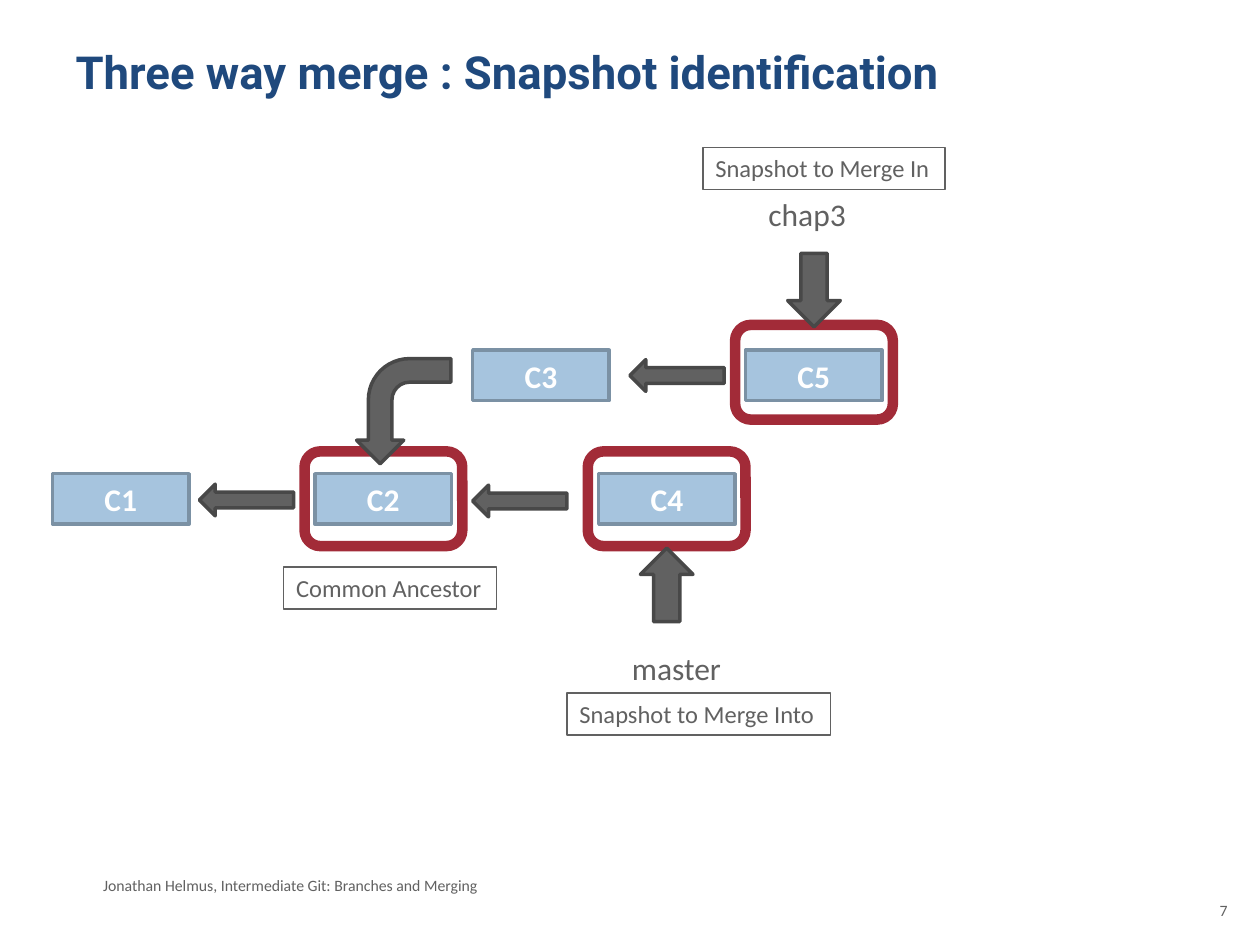
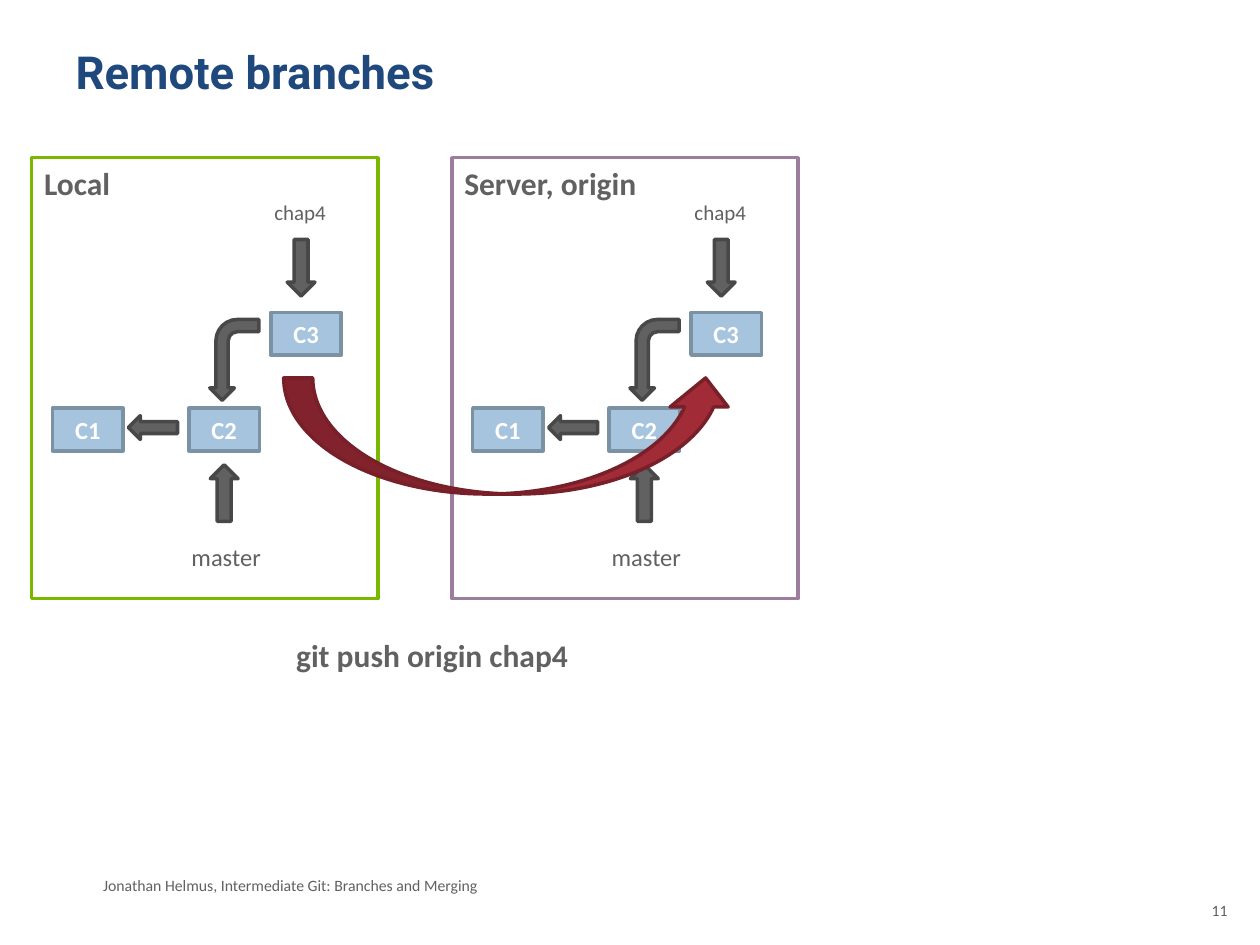
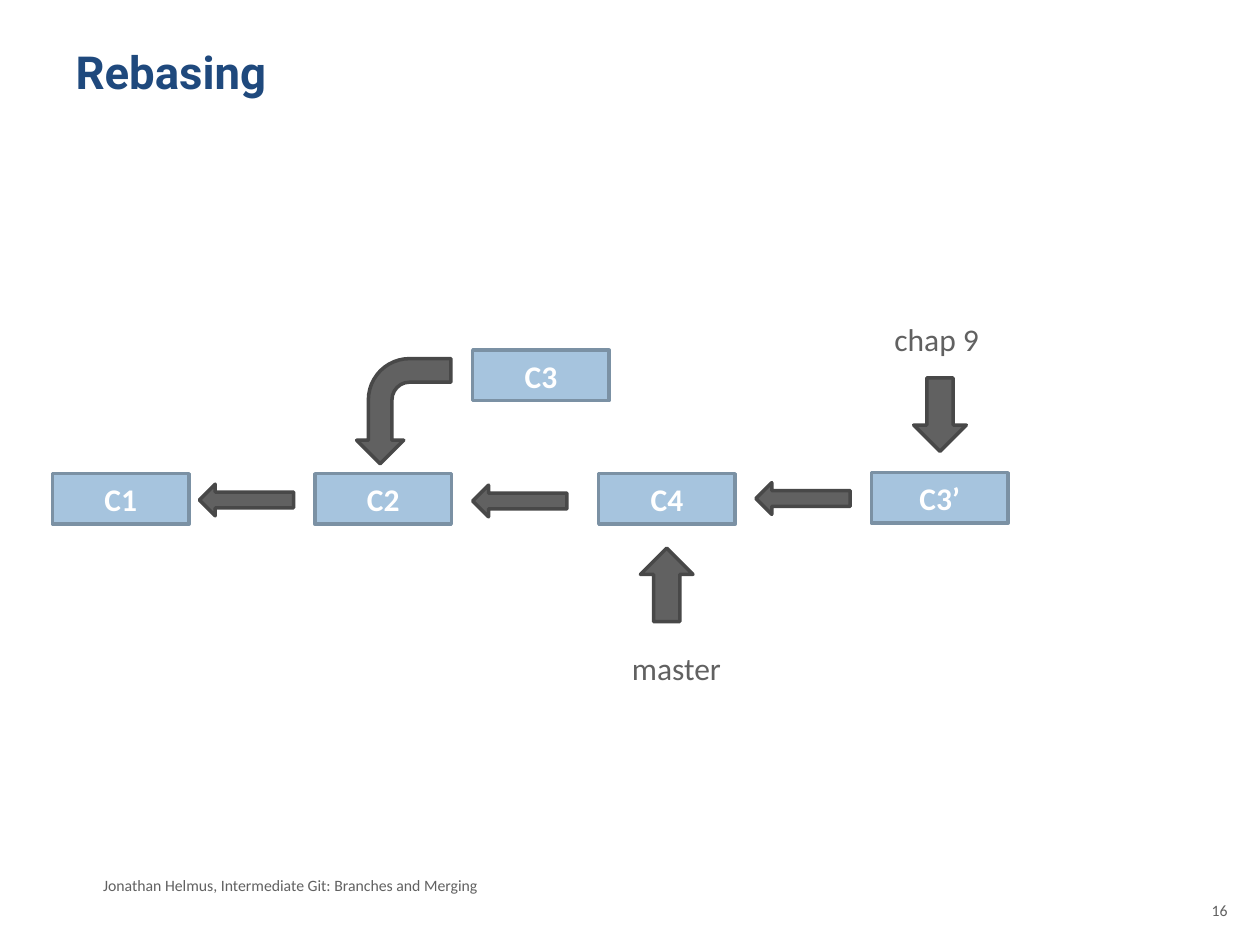
from dataclasses import dataclass

from pptx import Presentation
from pptx.dml.color import RGBColor
from pptx.enum.shapes import MSO_SHAPE
from pptx.enum.text import MSO_ANCHOR, MSO_AUTO_SIZE, PP_ALIGN
from pptx.util import Cm, Pt

RECT = MSO_SHAPE.RECTANGLE
LEFT, CENTER, RIGHT = PP_ALIGN.LEFT, PP_ALIGN.CENTER, PP_ALIGN.RIGHT
TOP, MIDDLE = MSO_ANCHOR.TOP, MSO_ANCHOR.MIDDLE
NO_AUTOFIT = MSO_AUTO_SIZE.NONE

NAVY, GREY, DARK_GREY, WHITE = "1F497D", "616161", "484848", "FFFFFF"
BLUE, BLUE_EDGE = "A6C4DE", "7B91A4"
RED, DARK_RED = "A22B38", "782029"
GREEN, PURPLE = "7AB800", "9D7D9E"
TITLE_FONT, BODY_FONT = "Roboto", "Calibri"

TITLE_ONLY = 5
FOOTER = "Jonathan Helmus, Intermediate Git: Branches and Merging"
REMOTE_SHIFT = 8.47


@dataclass(frozen=True)
class Style:
    geometry: MSO_SHAPE
    fill: str | None
    line: str
    weight: float = 2
    rotation: int = 0
    flip: str = ""


@dataclass(frozen=True)
class Part:
    """A commit, arrow or ring; its kind decides style and size."""
    kind: str
    x: float
    y: float
    text: str = ""


@dataclass(frozen=True)
class Label:
    text: str
    x: float
    y: float
    width: float
    size: int = 18
    bold: bool = False
    framed: bool = False


@dataclass(frozen=True)
class Scale:
    sizes: dict[str, tuple[float, float]]
    commit_font: int


@dataclass(frozen=True)
class Panel:
    text: str
    line: str
    shift: float


STYLES = {
    "commit": Style(RECT, BLUE, BLUE_EDGE),
    "ring": Style(MSO_SHAPE.ROUNDED_RECTANGLE, WHITE, RED, 6),
    "back": Style(MSO_SHAPE.RIGHT_ARROW, GREY, DARK_GREY, flip="flipH"),
    "up": Style(MSO_SHAPE.UP_ARROW, GREY, DARK_GREY),
    "down": Style(MSO_SHAPE.UP_ARROW, GREY, DARK_GREY, flip="flipV"),
    "bend": Style(MSO_SHAPE.BENT_ARROW, GREY, DARK_GREY, rotation=270, flip="flipH"),
}
FRAME = Style(RECT, None, GREY, 0.75)
PUSH_ARROW = Style(MSO_SHAPE.CURVED_UP_ARROW, RED, DARK_RED)

LARGE = Scale({"commit": (2.75, 1.02), "ring": (3.18, 1.91), "back": (1.9, 0.64),
               "up": (1.06, 1.48), "down": (1.06, 1.48), "bend": (2.12, 1.9)}, 18)
SMALL = Scale({"commit": (1.42, 0.86), "back": (0.99, 0.48), "up": (0.56, 1.14),
               "down": (0.56, 1.14), "bend": (1.63, 0.99)}, 14)

HISTORY = [
    Part("commit", 1.06, 9.55, "C1"),
    Part("commit", 6.35, 9.55, "C2"),
    Part("commit", 9.53, 7.06, "C3"),
    Part("commit", 12.07, 9.55, "C4"),
    Part("back", 4.02, 9.76),
    Part("back", 9.53, 9.78),
    Part("up", 12.91, 11.05),
    Part("bend", 7.08, 7.34),
    Label("master", 12.49, 12.95, 2.34),
]
MERGE_RINGS = [Part("ring", 14.82, 6.55), Part("ring", 11.85, 9.1), Part("ring", 6.14, 9.1)]
MERGE_BRANCH = [
    Part("commit", 15.03, 7.06, "C5"),
    Part("back", 12.7, 7.25),
    Part("down", 15.88, 5.11),
    Label("chap3", 15.24, 3.81, 2.08),
    Label("Common Ancestor", 5.72, 11.43, 4.29, 14, framed=True),
    Label("Snapshot to Merge Into", 11.43, 13.97, 5.31, 14, framed=True),
    Label("Snapshot to Merge In", 14.17, 2.97, 4.88, 14, framed=True),
]
REPOSITORY = [
    Part("commit", 1.06, 8.23, "C1"),
    Part("commit", 3.81, 8.23, "C2"),
    Part("commit", 5.46, 6.3, "C3"),
    Part("back", 2.59, 8.38),
    Part("up", 4.24, 9.37),
    Part("down", 5.79, 4.83),
    Part("bend", 3.91, 6.76),
    Label("chap4", 5.28, 3.89, 1.57, 12),
    Label("master", 3.61, 10.8, 1.93, 14),
]
PANELS = [Panel("Local", GREEN, 0), Panel("Server, origin", PURPLE, REMOTE_SHIFT)]
REBASED = [
    Part("back", 15.24, 9.73),
    Part("commit", 17.57, 9.53, "C3’"),
    Part("down", 18.42, 7.62),
    Label("chap 9", 17.78, 6.32, 2.24),
]


def rgb(color: str) -> RGBColor:
    return RGBColor.from_string(color)


def cm_box(*lengths: float) -> list[Cm]:
    return [Cm(length) for length in lengths]


def write(sp, text: str, *, size: float, color: str = GREY, font: str = BODY_FONT,
          bold: bool = False, align=LEFT, anchor=TOP, wrap: bool = True) -> None:
    tf = sp.text_frame
    tf.auto_size = NO_AUTOFIT
    tf.word_wrap = wrap
    tf.vertical_anchor = anchor
    p = tf.paragraphs[0]
    p.alignment = align
    r = p.add_run()
    r.text = text
    r.font.name, r.font.size, r.font.bold = font, Pt(size), bold
    r.font.color.rgb = rgb(color)


def add_styled(shapes, style: Style, x: float, y: float, w: float, h: float):
    sp = shapes.add_shape(style.geometry, *cm_box(x, y, w, h))
    sp.shadow.inherit = False
    if style.fill:
        sp.fill.solid()
        sp.fill.fore_color.rgb = rgb(style.fill)
    else:
        sp.fill.background()
    sp.line.color.rgb = rgb(style.line)
    sp.line.width = Pt(style.weight)
    sp.rotation = style.rotation
    if style.flip:
        sp.element.spPr.get_or_add_xfrm().set(style.flip, "1")
    return sp


def add_label(shapes, label: Label, shift: float = 0) -> None:
    height = round(label.size * 0.043 + 0.25, 2)
    box = label.x + shift, label.y, label.width, height
    if label.framed:
        sp = add_styled(shapes, FRAME, *box)
    else:
        sp = shapes.add_textbox(*cm_box(*box))
    write(sp, label.text, size=label.size, bold=label.bold, wrap=False)


def add_diagram(shapes, items: list[Part | Label], scale: Scale, shift: float = 0) -> None:
    for item in items:
        if isinstance(item, Label):
            add_label(shapes, item, shift)
            continue
        sp = add_styled(shapes, STYLES[item.kind], item.x + shift, item.y,
                        *scale.sizes[item.kind])
        if item.text:
            write(sp, item.text, size=scale.commit_font, color=WHITE, bold=True,
                  align=CENTER, anchor=MIDDLE)


def add_page(prs, title: str, number: int):
    """Add a slide with its title, footer and page number; return its shapes."""
    shapes = prs.slides.add_slide(prs.slide_layouts[TITLE_ONLY]).shapes
    sp = shapes.title
    sp.left, sp.top, sp.width, sp.height = cm_box(1.27, 0.76, 22.86, 3.18)
    write(sp, title, size=26, color=NAVY, font=TITLE_FONT, bold=True)
    write(shapes.add_textbox(*cm_box(1.83, 17.53, 16.51, 0.64)), FOOTER, size=9)
    write(shapes.add_textbox(*cm_box(23.93, 18.03, 1.07, 1.02)), str(number),
          size=9, align=RIGHT)
    return shapes


def add_merge_slide(prs) -> None:
    shapes = add_page(prs, "Three way merge : Snapshot identification", 7)
    add_diagram(shapes, MERGE_RINGS + HISTORY + MERGE_BRANCH, LARGE)


def add_remote_slide(prs) -> None:
    shapes = add_page(prs, "Remote branches", 11)
    for panel in PANELS:
        sp = add_styled(shapes, Style(RECT, WHITE, panel.line),
                        0.64 + panel.shift, 3.18, 6.98, 8.89)
        write(sp, panel.text, size=18, bold=True)
        add_diagram(shapes.add_group_shape().shapes, REPOSITORY, SMALL, panel.shift)
    add_label(shapes, Label("git push origin chap4", 5.72, 12.7, 6.05, bold=True))
    add_styled(shapes, PUSH_ARROW, 5.72, 7.62, 9.09, 2.34)


def add_rebase_slide(prs) -> None:
    shapes = add_page(prs, "Rebasing", 16)
    add_diagram(shapes, HISTORY + REBASED, LARGE)


def main() -> None:
    prs = Presentation()
    prs.slide_width, prs.slide_height = cm_box(25.4, 19.05)
    add_merge_slide(prs)
    add_remote_slide(prs)
    add_rebase_slide(prs)
    prs.save("out.pptx")


if __name__ == "__main__":
    main()
